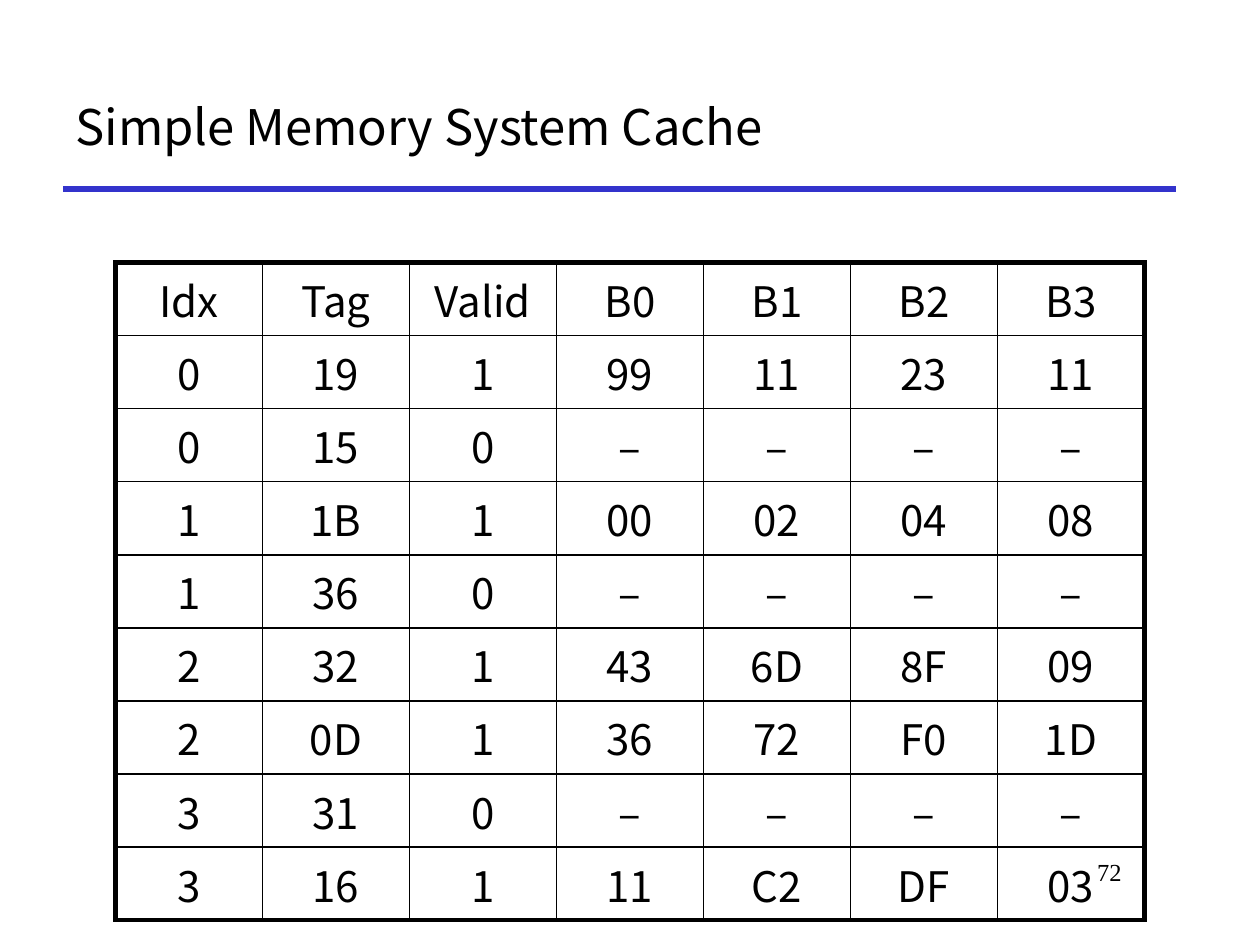
from lxml import etree
from pptx import Presentation
from pptx import util as u
from pptx.dml.color import RGBColor
from pptx.enum import shapes, text
from pptx.oxml import ns

WIDTH, HEIGHT = u.Inches(10), u.Inches(7.5)
COLORS = {"ink": "000000", "rule": "3333CC"}
SANS, SERIF = "Noto Sans CJK KR", "Times New Roman"
THIN, THICK = 1, 3
ROW_HEIGHT = u.Inches(0.58)

HEADER = ["Idx", "Tag", "Valid", "B0", "B1", "B2", "B3"]
# Index, tag, and the four bytes of a valid line
LINES = [
    ("0", "19", "99 11 23 11"),
    ("0", "15", None),
    ("1", "1B", "00 02 04 08"),
    ("1", "36", None),
    ("2", "32", "43 6D 8F 09"),
    ("2", "0D", "36 72 F0 1D"),
    ("3", "31", None),
    ("3", "16", "11 C2 DF 03"),
]


def area(left, top, width, height):
    """Turn shares of the slide's size into lengths."""
    return (int(WIDTH * left), int(HEIGHT * top),
            int(WIDTH * width), int(HEIGHT * height))


def write(frame, words, size=24, font=SANS, color="ink",
          align=text.PP_ALIGN.LEFT):
    paragraph = frame.paragraphs[0]
    paragraph.alignment = align
    run = paragraph.add_run()
    run.text = words
    run.font.size = u.Pt(size)
    run.font.name = font
    run.font.color.rgb = RGBColor.from_string(COLORS[color])


def add_title(slide, words, box):
    title = slide.shapes.title
    title.left, title.top, title.width, title.height = box
    title.text_frame.vertical_anchor = text.MSO_ANCHOR.MIDDLE
    write(title.text_frame, words, size=28)


def add_rule(slide, left, top, width):
    x, y, length, _ = area(left, top, width, 0)
    rule = slide.shapes.add_connector(
        shapes.MSO_CONNECTOR.STRAIGHT, x, y, x + length, y)
    rule.line.color.rgb = RGBColor.from_string(COLORS["rule"])
    rule.line.width = u.Pt(THICK)
    etree.SubElement(rule._element.spPr, ns.qn("a:effectLst"))


def add_page_number(slide, number, box):
    shape = slide.shapes.add_textbox(*box)
    shape.text_frame.word_wrap = True
    write(shape.text_frame, number, size=14, font=SERIF,
          align=text.PP_ALIGN.RIGHT)


def set_borders(cell, **widths):
    properties = cell._tc.get_or_add_tcPr()
    for side, width in widths.items():
        line = etree.SubElement(properties, ns.qn("a:ln" + side),
                                w=str(u.Pt(width)))
        fill = etree.SubElement(line, ns.qn("a:solidFill"))
        etree.SubElement(fill, ns.qn("a:srgbClr"), val=COLORS["ink"])


def add_cache_table(slide, rows, left, top, width):
    last_row, last_column = len(rows) - 1, len(rows[0]) - 1
    x, y, length, _ = area(left, top, width, 0)
    table = slide.shapes.add_table(len(rows), len(rows[0]), x, y, length,
                                   ROW_HEIGHT * len(rows)).table
    table.first_row = table.horz_banding = False
    for r, row in enumerate(rows):
        for c, value in enumerate(row):
            cell = table.cell(r, c)
            write(cell.text_frame, value, align=text.PP_ALIGN.CENTER)
            # Thick outer frame, thin inner grid
            set_borders(cell,
                        L=THICK if c == 0 else THIN,
                        R=THICK if c == last_column else THIN,
                        T=THICK if r == 0 else THIN,
                        B=THICK if r == last_row else THIN)
            cell.fill.background()


def cache_rows():
    rows = [HEADER]
    for index, tag, data in LINES:
        data_bytes = data.split() if data else ["–"] * 4
        rows.append([index, tag, "1" if data else "0"] + data_bytes)
    return rows


def main():
    presentation = Presentation()
    presentation.slide_width, presentation.slide_height = WIDTH, HEIGHT
    slide = presentation.slides.add_slide(presentation.slide_layouts[5])

    # Heading
    add_rule(slide, 0.05, 0.2, 0.883)
    add_title(slide, "Simple Memory System Cache",
              area(0.05, 1 / 15, 0.883, 2 / 15))

    # Page number and cache contents
    add_page_number(slide, "72", area(0.758, 0.9, 0.142, 1 / 15))
    add_cache_table(slide, cache_rows(), 11 / 120, 5 / 18, 49 / 60)

    presentation.save("out.pptx")


main()
